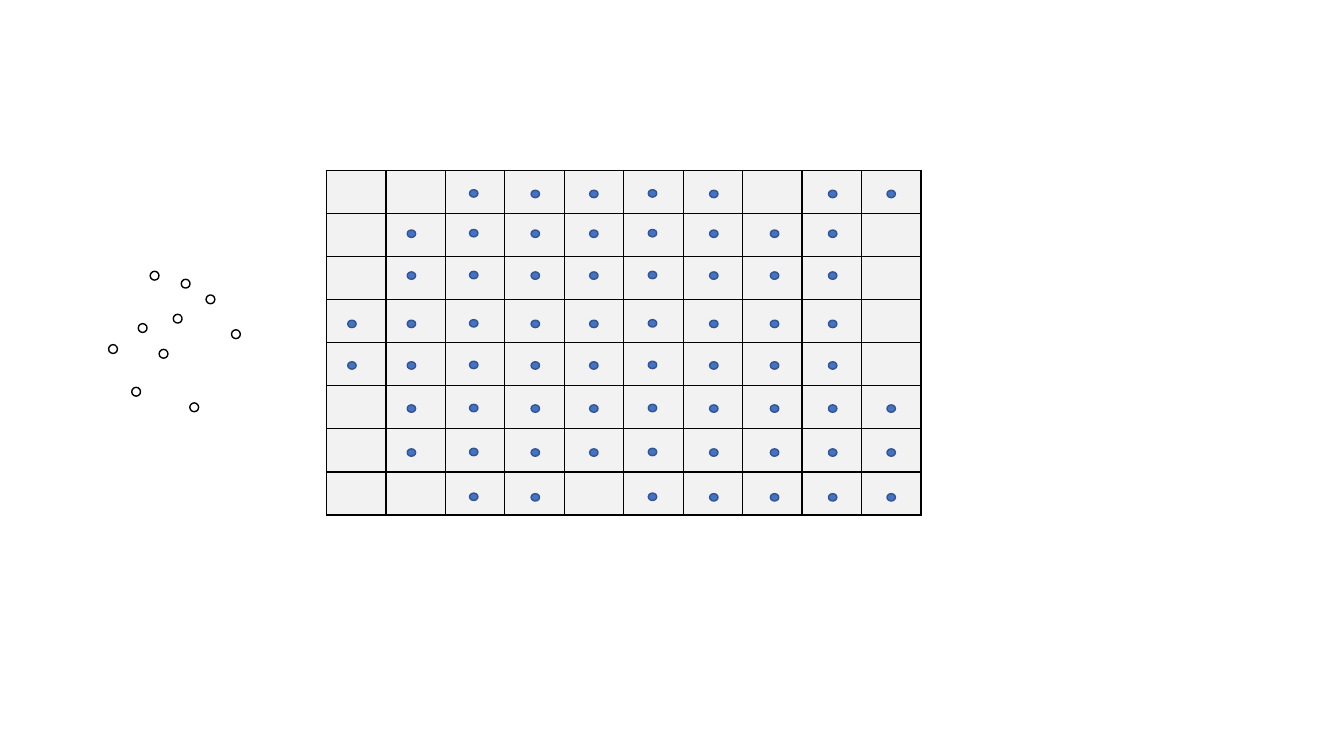
from dataclasses import dataclass

from lxml.etree import SubElement
from pptx import Presentation
from pptx.dml.color import RGBColor
from pptx.enum.shapes import MSO_SHAPE
from pptx.oxml.ns import qn
from pptx.table import _Cell
from pptx.util import Pt

WHITE = RGBColor(0xFF, 0xFF, 0xFF)
BLACK = RGBColor(0x00, 0x00, 0x00)
GREY = RGBColor(0xF2, 0xF2, 0xF2)
BLUE = RGBColor(0x44, 0x72, 0xC4)
DARK_BLUE = RGBColor(0x32, 0x54, 0x91)
LINE_WIDTH = 1


@dataclass(frozen=True)
class MarkerStyle:
    width: float
    height: float
    fill: RGBColor
    outline: RGBColor


@dataclass(frozen=True)
class Marker:
    left: float
    top: float
    style: MarkerStyle


GRID_DOT = MarkerStyle(6, 5.3, BLUE, DARK_BLUE)
SCATTER_RING = MarkerStyle(6.3, 6.3, WHITE, BLACK)

# Grid: "o" marks a cell with a dot
DOT_PATTERN = [
    "..ooooo.oo",
    ".oooooooo.",
    ".oooooooo.",
    "ooooooooo.",
    "ooooooooo.",
    ".ooooooooo",
    ".ooooooooo",
    "..oo.ooooo",
]
GRID_LEFT, GRID_TOP = 233.2, 121.8
CELL_WIDTH, CELL_HEIGHT = 42.48, 30.78
DOT_LEFTS = [248.4, 290.9, 335.4, 379.4, 421.2, 463.1, 506.9, 550.3, 591.8, 633.6]
DOT_TOPS = [135.9, 164.3, 194.2, 228.7, 258.4, 289.2, 320.6, 352.6]
RAISED_COLUMNS = {2, 5}
RAISE = 0.4

# Left and top of the scattered rings
RING_POSITIONS = [
    (107.3, 193.8), (129.5, 199.5), (147.2, 210.7), (123.8, 224.5), (165.4, 235.6),
    (77.6, 246.2), (98.8, 231.2), (113.7, 249.6), (94.1, 276.7), (135.6, 287.8),
]
TABLE_FORMAT = {"first_row": False, "horz_banding": False}


def format_cell(cell: _Cell) -> None:
    properties = cell._tc.get_or_add_tcPr()
    for side in ("a:lnL", "a:lnR", "a:lnT", "a:lnB"):
        border = SubElement(properties, qn(side), w=str(Pt(LINE_WIDTH)))
        solid = SubElement(border, qn("a:solidFill"))
        SubElement(solid, qn("a:srgbClr"), val=str(BLACK))
    cell.fill.solid()
    cell.fill.fore_color.rgb = GREY


def draw_grid() -> None:
    row_count, column_count = len(DOT_PATTERN), len(DOT_LEFTS)
    grid = slide.shapes.add_table(
        row_count, column_count, Pt(GRID_LEFT), Pt(GRID_TOP),
        Pt(CELL_WIDTH * column_count), Pt(CELL_HEIGHT * row_count),
    ).table
    for attribute, value in TABLE_FORMAT.items():
        setattr(grid, attribute, value)
    for cell in grid.iter_cells():
        format_cell(cell)


def draw_marker(marker: Marker) -> None:
    style = marker.style
    ellipse = slide.shapes.add_shape(
        MSO_SHAPE.OVAL, Pt(marker.left), Pt(marker.top), Pt(style.width), Pt(style.height)
    )
    ellipse.shadow.inherit = False
    ellipse.fill.solid()
    ellipse.fill.fore_color.rgb = style.fill
    ellipse.line.color.rgb = style.outline
    ellipse.line.width = Pt(LINE_WIDTH)


presentation = Presentation()
presentation.slide_width, presentation.slide_height = Pt(960), Pt(540)
slide = presentation.slides.add_slide(presentation.slide_layouts[6])

# Grid with its dots
draw_grid()
for dot_top, pattern in zip(DOT_TOPS, DOT_PATTERN):
    for column, (dot_left, mark) in enumerate(zip(DOT_LEFTS, pattern)):
        if mark == "o":
            raise_by = RAISE if column in RAISED_COLUMNS else 0
            draw_marker(Marker(dot_left, dot_top - raise_by, GRID_DOT))

# Scattered rings
for ring_left, ring_top in RING_POSITIONS:
    draw_marker(Marker(ring_left, ring_top, SCATTER_RING))

presentation.save("out.pptx")
